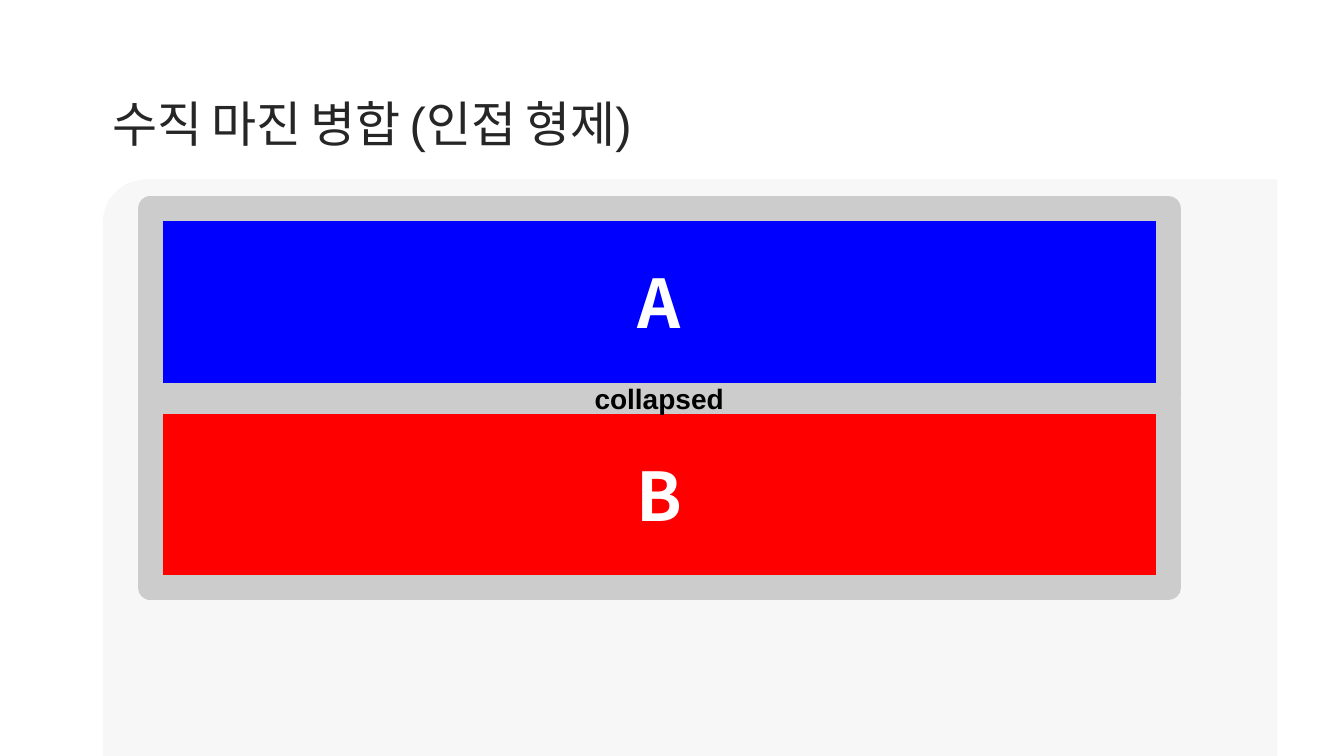
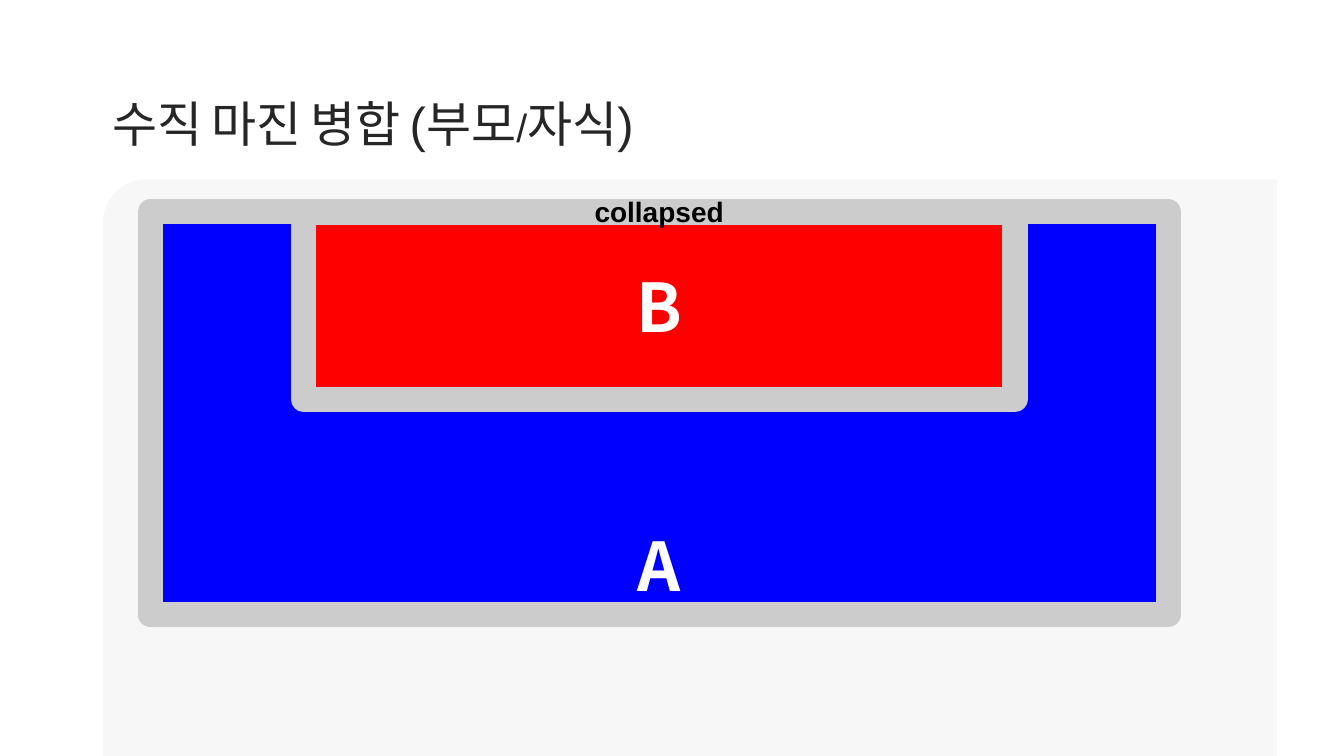
from dataclasses import dataclass

from lxml import etree
from pptx import Presentation
from pptx import util as u
from pptx.dml.color import RGBColor
from pptx.enum import shapes, text
from pptx.oxml import ns

Pt = u.Pt

# Shared look
COLORS = {
    "band": "F7F7F7",
    "title": "262626",
    "blue": "0000FF",
    "red": "FF0000",
    "margin": "CCCCCC",
    "white": "FFFFFF",
    "black": "000000",
}
SANS, CJK = "Arial", "Noto Sans CJK KR"
PAGE_WIDTH, PAGE_HEIGHT = 960, 540
BAND_LEFT, BAND_TOP, BAND_WIDTH = 73.44, 128.16, 838.8
TITLE_TOP, TITLE_HEIGHT = 63.36, 48.24
TITLE_SIZES = (35, 28)  # words, separators
MARGIN = 18
CENTER = 470.88
BOX_WIDTH, BOX_HEIGHT = 727.2, 133.2
NOTE_WIDTH, NOTE_HEIGHT = 134.64, 46.08

BOX_FONT = {"name": CJK, "size": Pt(48), "bold": True}
NOTE_FONT = {"name": SANS, "size": Pt(20), "bold": True}


@dataclass
class Box:
    label: str
    color: str
    top: float
    width: float = BOX_WIDTH
    height: float = BOX_HEIGHT
    anchor: text.MSO_ANCHOR = text.MSO_ANCHOR.MIDDLE


@dataclass
class Topic:
    title: tuple[str, ...]  # words and separators in turn
    boxes: tuple[Box, ...]
    note_top: float


TOPICS = (
    Topic(
        ("수직", " ", "마진", " ", "병합", " ", "(인접", " ", "형제)"),
        (Box("A", "blue", 149.04), Box("B", "red", 286.56)),
        261.36,
    ),
    Topic(
        ("수직", " ", "마진", " ", "병합", " ", "(부모", "/", "자식)"),
        (
            Box("A", "blue", 151.2, height=288, anchor=text.MSO_ANCHOR.BOTTOM),
            Box("B", "red", 151.92, width=508.32),
        ),
        128.16,
    ),
)


def rgb(name: str) -> RGBColor:
    return RGBColor.from_string(COLORS[name])


def set_frame(frame, anchor: text.MSO_ANCHOR, side: float, edge: float) -> None:
    values = {
        "word_wrap": True,
        "vertical_anchor": anchor,
        "margin_left": Pt(side),
        "margin_right": Pt(side),
        "margin_top": Pt(edge),
        "margin_bottom": Pt(edge),
    }
    for name, value in values.items():
        setattr(frame, name, value)


def add_span(para, words: str, color: str, values: dict) -> None:
    span = para.add_run()
    span.text = words
    span.font.color.rgb = rgb(color)
    for name, value in values.items():
        setattr(span.font, name, value)


def add_label(frame, words: str, color: str, values: dict,
              anchor: text.MSO_ANCHOR = text.MSO_ANCHOR.MIDDLE) -> None:
    set_frame(frame, anchor, 7.2, 7.2)
    para = frame.paragraphs[0]
    para.alignment = text.PP_ALIGN.CENTER
    add_span(para, words, color, values)


def add_band(page) -> None:
    band = page.shapes.add_shape(
        shapes.MSO_SHAPE.ROUND_1_RECTANGLE, Pt(BAND_LEFT), Pt(BAND_TOP),
        Pt(BAND_WIDTH), Pt(PAGE_HEIGHT - BAND_TOP))
    band.adjustments[0] = 0.075
    band.shadow.inherit = False
    band.fill.solid()
    band.fill.fore_color.rgb = rgb("band")
    band.line.fill.background()
    band.element.spPr.find(ns.qn("a:xfrm")).set("flipH", "1")


def add_title(page, parts: tuple[str, ...]) -> None:
    title = page.shapes.add_textbox(
        Pt(BAND_LEFT), Pt(TITLE_TOP), Pt(PAGE_WIDTH - BAND_LEFT), Pt(TITLE_HEIGHT))
    set_frame(title.text_frame, text.MSO_ANCHOR.MIDDLE, 7.2, 3.6)
    para = title.text_frame.paragraphs[0]
    for index, part in enumerate(parts):
        add_span(para, part, "title",
                 {"name": SANS, "size": Pt(TITLE_SIZES[index % 2])})


def add_box(page, box: Box) -> None:
    shape = page.shapes.add_shape(
        shapes.MSO_SHAPE.RECTANGLE, Pt(CENTER - box.width / 2), Pt(box.top),
        Pt(box.width), Pt(box.height))
    shape.shadow.inherit = False
    shape.fill.solid()
    shape.fill.fore_color.rgb = rgb(box.color)
    shape.line.color.rgb = rgb("margin")
    shape.line.width = Pt(MARGIN)
    # Rounded corners on the thick outline
    etree.SubElement(shape.element.spPr.find(ns.qn("a:ln")), ns.qn("a:round"))
    add_label(shape.text_frame, box.label, "white", BOX_FONT, box.anchor)


def add_note(page, top: float) -> None:
    note = page.shapes.add_textbox(
        Pt(CENTER - NOTE_WIDTH / 2), Pt(top), Pt(NOTE_WIDTH), Pt(NOTE_HEIGHT))
    add_label(note.text_frame, "collapsed", "black", NOTE_FONT)


def main() -> None:
    deck = Presentation()
    deck.slide_width, deck.slide_height = Pt(PAGE_WIDTH), Pt(PAGE_HEIGHT)
    for topic in TOPICS:
        page = deck.slides.add_slide(deck.slide_layouts[6])
        add_band(page)
        add_title(page, topic.title)
        for box in topic.boxes:
            add_box(page, box)
        add_note(page, topic.note_top)
    deck.save("out.pptx")


if __name__ == "__main__":
    main()
